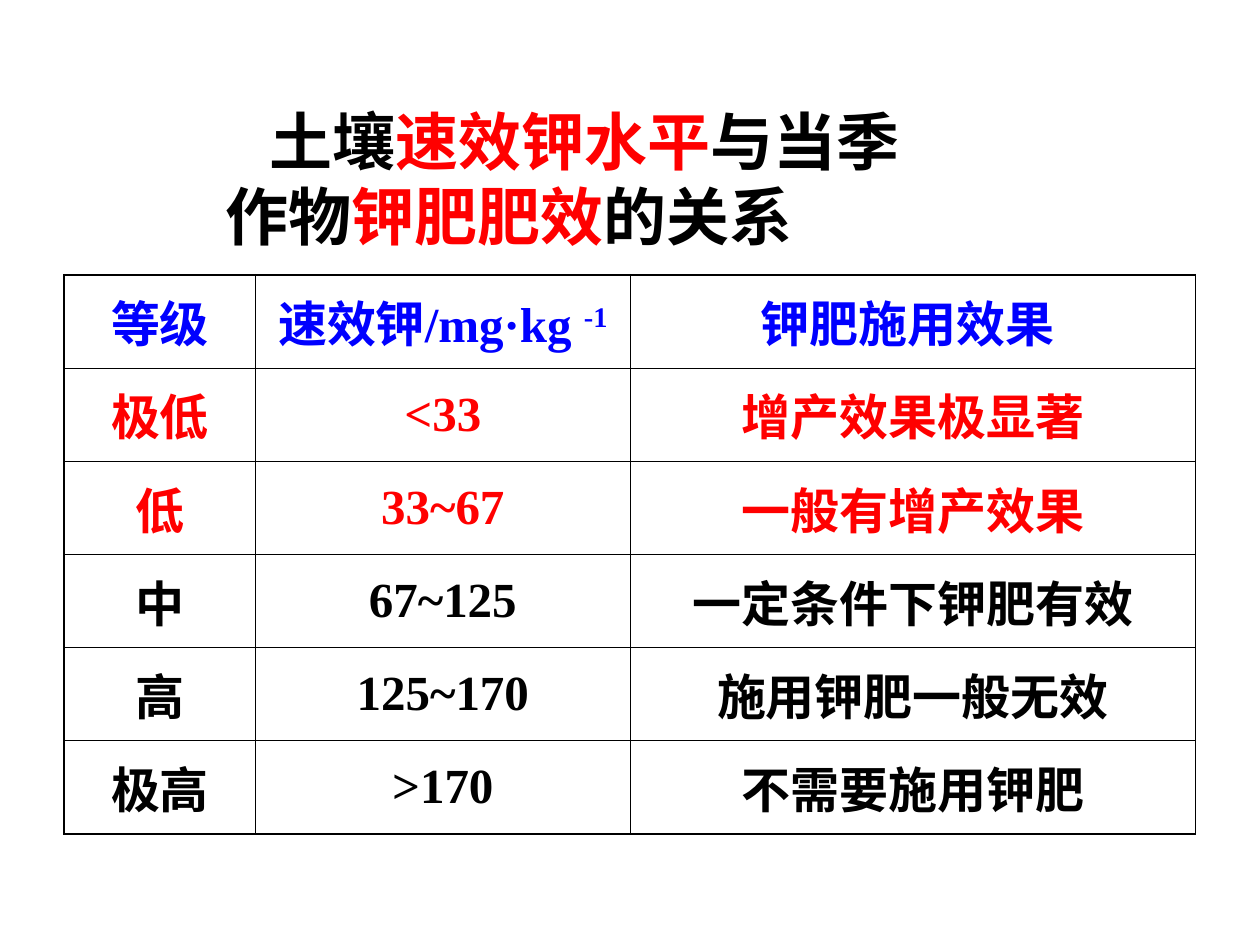
from lxml import etree
from pptx import Presentation
from pptx.dml.color import RGBColor
from pptx.enum import text as t
from pptx.oxml.ns import qn
from pptx.util import Inches, Pt

BLACK = RGBColor(0, 0, 0)
RED = RGBColor(255, 0, 0)
BLUE = RGBColor(0, 0, 255)
SANS = "Noto Sans CJK SC"
SERIF = "Times New Roman"


def write(para, words, size=28, font=SERIF, color=BLACK, align=t.PP_ALIGN.CENTER, raised=False):
    para.alignment = align
    run = para.add_run()
    run.text = words
    run.font.size = Pt(size)
    run.font.bold = True
    run.font.color.rgb = color
    run.font.name = font
    props = run.font._element
    etree.SubElement(props, qn("a:ea"), typeface=SANS)
    if raised:
        props.set("baseline", "30000")


def edge(cell, side, width, spot):
    line = etree.Element(qn("a:ln" + side), w=str(Pt(width)))
    fill = etree.SubElement(line, qn("a:solidFill"))
    etree.SubElement(fill, qn("a:srgbClr"), val=str(BLACK))
    cell._tc.get_or_add_tcPr().insert(spot, line)


deck = Presentation()
deck.slide_width, deck.slide_height = Inches(10), Inches(7.5)
slide = deck.slides.add_slide(deck.slide_layouts[5])

title = slide.shapes.title
title.left, title.top = Inches(1.69), Inches(0.76)
title.width, title.height = Inches(6.46), Inches(1.3)
frame = title.text_frame
frame.word_wrap = True
frame.auto_size = t.MSO_AUTO_SIZE.NONE
frame.vertical_anchor = t.MSO_ANCHOR.TOP
head = frame.paragraphs[0]
head._p.get_or_add_pPr().set("indent", str(Inches(0.35)))
lines = [
    [("土壤", BLACK), ("速效钾水平", RED), ("与当季", BLACK)],
    [("作物", BLACK), ("钾肥肥效", RED), ("的关系", BLACK)],
]
for i, line in enumerate(lines):
    if i:
        head.add_line_break()
    for words, color in line:
        write(head, words, size=36, font=SANS, color=color, align=t.PP_ALIGN.LEFT)

rows = [
    ("等级", "速效钾/mg·kg ", "钾肥施用效果 "),
    ("极低", "<33", "增产效果极显著"),
    ("低", "33~67", "一般有增产效果"),
    ("中", "67~125", "一定条件下钾肥有效"),
    ("高", "125~170", "施用钾肥一般无效"),
    ("极高", ">170", "不需要施用钾肥"),
]
tints = [BLUE, RED, RED, BLACK, BLACK, BLACK]
wides = [1.52, 2.97, 4.49]
grid = slide.shapes.add_table(
    len(rows), len(wides), Inches(0.51), Inches(2.18), Inches(8.98), Inches(4.44)
).table
grid.first_row = grid.horz_banding = False
for col, wide in zip(grid.columns, wides):
    col.width = Inches(wide)

for r, row in enumerate(rows):
    for c, words in enumerate(row):
        cell = grid.cell(r, c)
        cell.fill.background()
        cell.vertical_anchor = t.MSO_ANCHOR.MIDDLE
        outer = {"L": c == 0, "R": c == len(wides) - 1, "T": r == 0, "B": r == len(rows) - 1}
        for spot, side in enumerate(outer):
            edge(cell, side, 1.08 if outer[side] else 0.45, spot)
        write(cell.text_frame.paragraphs[0], words, color=tints[r])

write(grid.cell(0, 1).text_frame.paragraphs[0], "-1", color=BLUE, raised=True)

deck.save("out.pptx")
